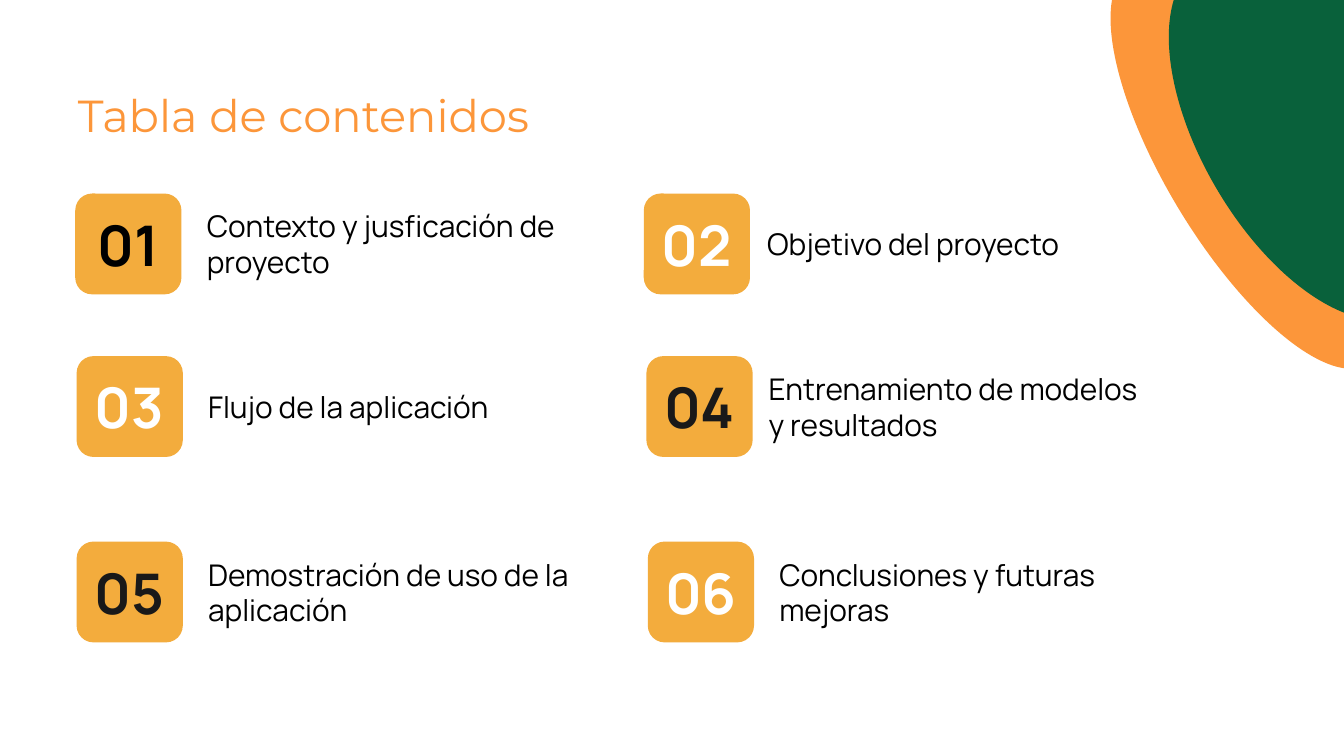
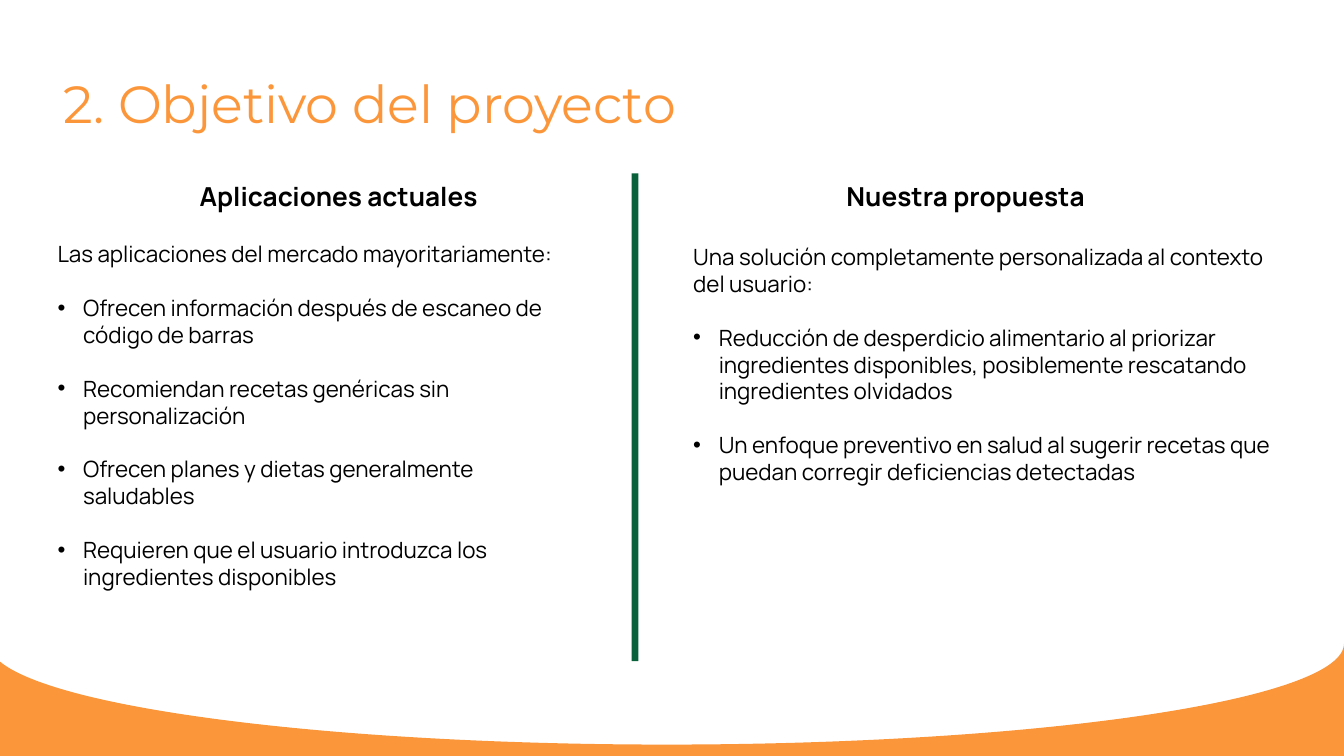
import pptx
import pptx.util
from lxml import etree
from pptx.dml.color import RGBColor
from pptx.enum.shapes import MSO_SHAPE
from pptx.enum.text import MSO_ANCHOR, MSO_AUTO_SIZE, PP_ALIGN
from pptx.oxml.ns import qn
from pptx.util import Inches

COLORS = {
    "orange": "FC963A",
    "green": "09613B",
    "tile": "F3AC3D",
    "black": "000000",
    "charcoal": "191919",
    "white": "FFFFFF",
}
TITLE_FONT = "Montserrat"
BODY_FONT = "Manrope"

CONTENTS_TITLE = "Tabla de contenidos"
CONTENTS = [
    ("Contexto y jusficación de proyecto", "black", 0.56, 1.44, 3.12),
    ("Objetivo del proyecto", "white", 4.79, 5.61, 3.35),
    ("Flujo de la aplicación", "white", 0.57, 1.45, 3.35),
    ("Entrenamiento de modelos y resultados", "charcoal", 4.81, 5.62, 2.99),
    ("Demostración de uso de la aplicación", "charcoal", 0.57, 1.45, 3.35),
    ("Conclusiones y futuras mejoras", "white", 4.82, 5.7, 3.35),
]
TILE_TOPS = (1.44, 2.65, 4.03)
TILES_PER_ROW = 2
TILE_SIZE = (0.79, 0.75)
LABEL_HEIGHT = 0.58

GOAL_TITLE = "2. Objetivo del proyecto"
GOAL_COLUMNS = [
    {
        "heading": "Aplicaciones actuales",
        "heading_box": (0.33, 1.29, 4.38, 0.34),
        "intro": "Las aplicaciones del mercado mayoritariamente:",
        "points": [
            "Ofrecen información después de escaneo de código de barras",
            "Recomiendan recetas genéricas sin personalización",
            "Ofrecen planes y dietas generalmente saludables",
            "Requieren que el usuario introduzca los ingredientes disponibles",
        ],
        "body_box": (0.33, 1.74, 4.06, 2.93),
    },
    {
        "heading": "Nuestra propuesta",
        "heading_box": (4.7, 1.29, 4.97, 0.34),
        "intro": "Una solución completamente personalizada al contexto del usuario:",
        "points": [
            "Reducción de desperdicio alimentario al priorizar ingredientes "
            "disponibles, posiblemente rescatando ingredientes olvidados",
            "Un enfoque preventivo en salud al sugerir recetas que puedan "
            "corregir deficiencias detectadas",
        ],
        "body_box": (5.06, 1.76, 4.66, 1.92),
    },
]
BULLET_INDENT = 0.19
POINT_GAP = 14.4


def rgb(name):
    return RGBColor.from_string(COLORS[name])


def style(paragraph, size, color="black", font=BODY_FONT, bold=False, align=PP_ALIGN.LEFT):
    paragraph.alignment = align
    paragraph.font.name = font
    paragraph.font.size = pptx.util.Pt(size)
    paragraph.font.bold = bold
    paragraph.font.color.rgb = rgb(color)


def set_frame(frame, anchor=MSO_ANCHOR.MIDDLE, side_inset=0.1, vertical_inset=0.1):
    frame.word_wrap = True
    frame.auto_size = MSO_AUTO_SIZE.NONE
    frame.vertical_anchor = anchor
    frame.margin_left = frame.margin_right = Inches(side_inset)
    frame.margin_top = frame.margin_bottom = Inches(vertical_inset)


def add_title(deck, text, box, size):
    slide = deck.slides.add_slide(deck.slide_layouts[5])
    title = slide.shapes.title
    title.left, title.top, title.width, title.height = map(Inches, box)
    title.text_frame.text = text
    set_frame(title.text_frame)
    style(title.text_frame.paragraphs[0], size, "orange", TITLE_FONT)
    return slide


def add_block(slide, preset, box, color, rotation=0):
    block = slide.shapes.add_shape(preset, *map(Inches, box))
    block.shadow.inherit = False
    block.fill.solid()
    block.fill.fore_color.rgb = rgb(color)
    block.line.fill.background()
    block.rotation = rotation
    return block


def add_text(slide, text, box, size, **look):
    frame = slide.shapes.add_textbox(*map(Inches, box)).text_frame
    set_frame(frame)
    frame.text = text
    style(frame.paragraphs[0], size, **look)
    return frame


def add_bullet(paragraph):
    properties = paragraph._p.get_or_add_pPr()
    properties.set("marL", str(Inches(BULLET_INDENT)))
    properties.set("indent", str(-Inches(BULLET_INDENT)))
    bullet_color = etree.SubElement(properties, qn("a:buClr"))
    etree.SubElement(bullet_color, qn("a:srgbClr"), val=COLORS["black"])
    etree.SubElement(properties, qn("a:buFont"), typeface="Arial")
    etree.SubElement(properties, qn("a:buChar"), char="•")


def build_contents(deck):
    slide = add_title(deck, CONTENTS_TITLE, (0.48, 0.59, 8.43, 0.53), 24)
    curve = MSO_SHAPE.FLOWCHART_STORED_DATA
    add_block(slide, curve, (8.51, -1.1, 3.64, 3.43), "orange", 328.8)
    add_block(slide, curve, (8.74, -1.25, 4.51, 3.02), "green", 329.5)
    tile_width, tile_height = TILE_SIZE
    for index, (topic, number_color, tile_left, label_left, label_width) in enumerate(CONTENTS):
        top = TILE_TOPS[index // TILES_PER_ROW]
        tile = add_block(slide, MSO_SHAPE.ROUNDED_RECTANGLE,
                         (tile_left, top, tile_width, tile_height), "tile")
        set_frame(tile.text_frame, side_inset=0)
        tile.text_frame.text = f"{index + 1:02d}"
        style(tile.text_frame.paragraphs[0], 30, number_color, bold=True, align=PP_ALIGN.CENTER)
        label_top = top + (tile_height - LABEL_HEIGHT) / 2
        add_text(slide, topic, (label_left, label_top, label_width, LABEL_HEIGHT), 16)


def build_goal(deck):
    slide = add_title(deck, GOAL_TITLE, (0.37, 0.5, 8.66, 0.53), 28)
    add_block(slide, MSO_SHAPE.FLOWCHART_STORED_DATA, (2.71, 2, 4.5, 10.08), "orange", 270)
    add_block(slide, MSO_SHAPE.RECTANGLE, (4.7, 1.29, 0.05, 3.63), "green")
    for column in GOAL_COLUMNS:
        heading = add_text(slide, column["heading"], column["heading_box"], 14,
                           bold=True, align=PP_ALIGN.CENTER)
        set_frame(heading, MSO_ANCHOR.TOP, vertical_inset=0.05)
        body = add_text(slide, column["intro"], column["body_box"], 12)
        set_frame(body, MSO_ANCHOR.TOP, vertical_inset=0.05)
        for point in column["points"]:
            paragraph = body.add_paragraph()
            paragraph.text = point
            add_bullet(paragraph)
            paragraph.space_before = pptx.util.Pt(POINT_GAP)
            style(paragraph, 12)


def main():
    deck = pptx.Presentation()
    deck.slide_width = Inches(10)
    deck.slide_height = deck.slide_width * 9 // 16
    build_contents(deck)
    build_goal(deck)
    deck.save("out.pptx")


if __name__ == "__main__":
    main()
